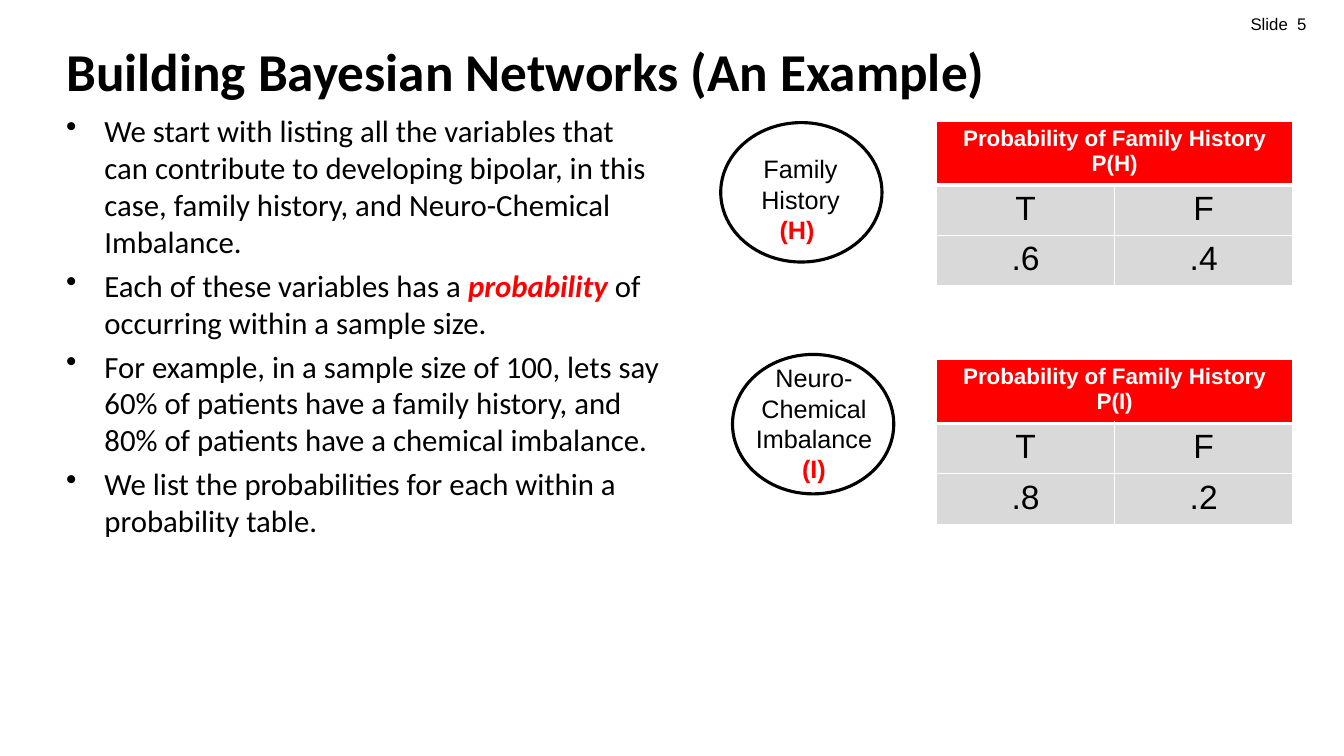
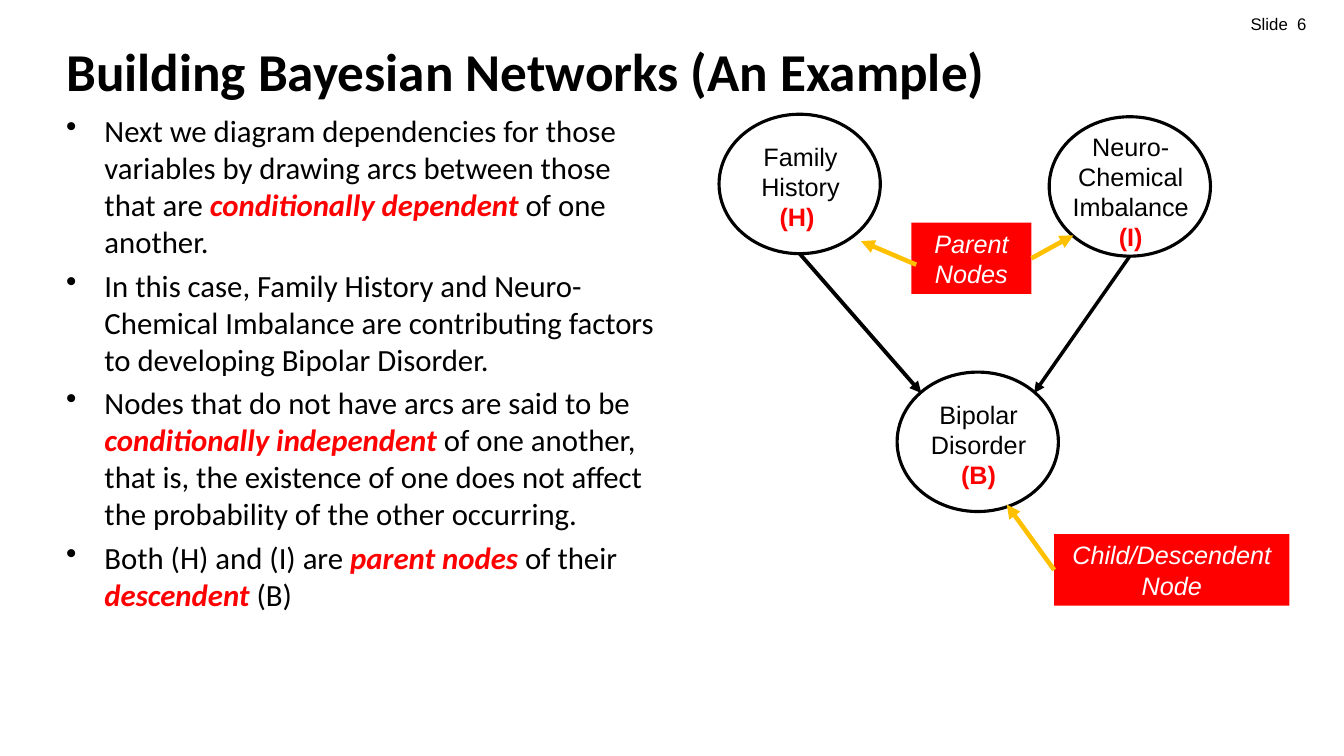
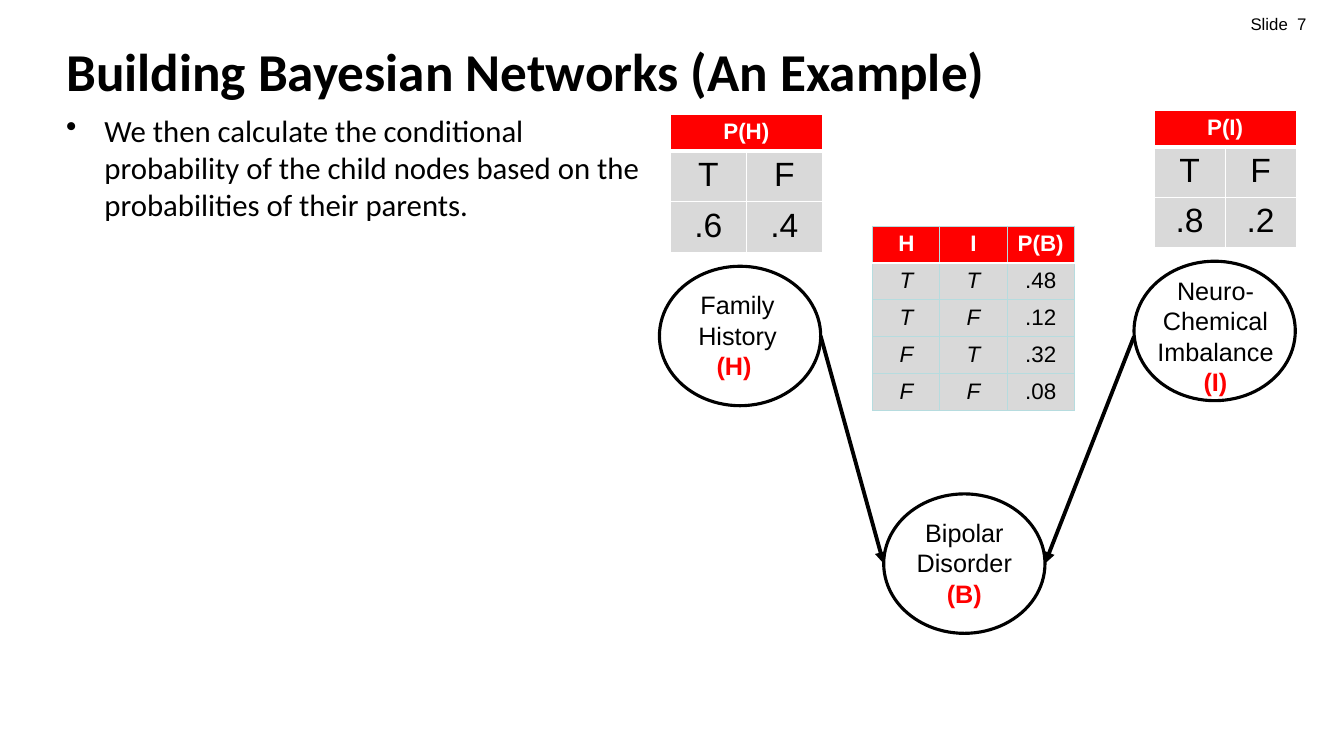
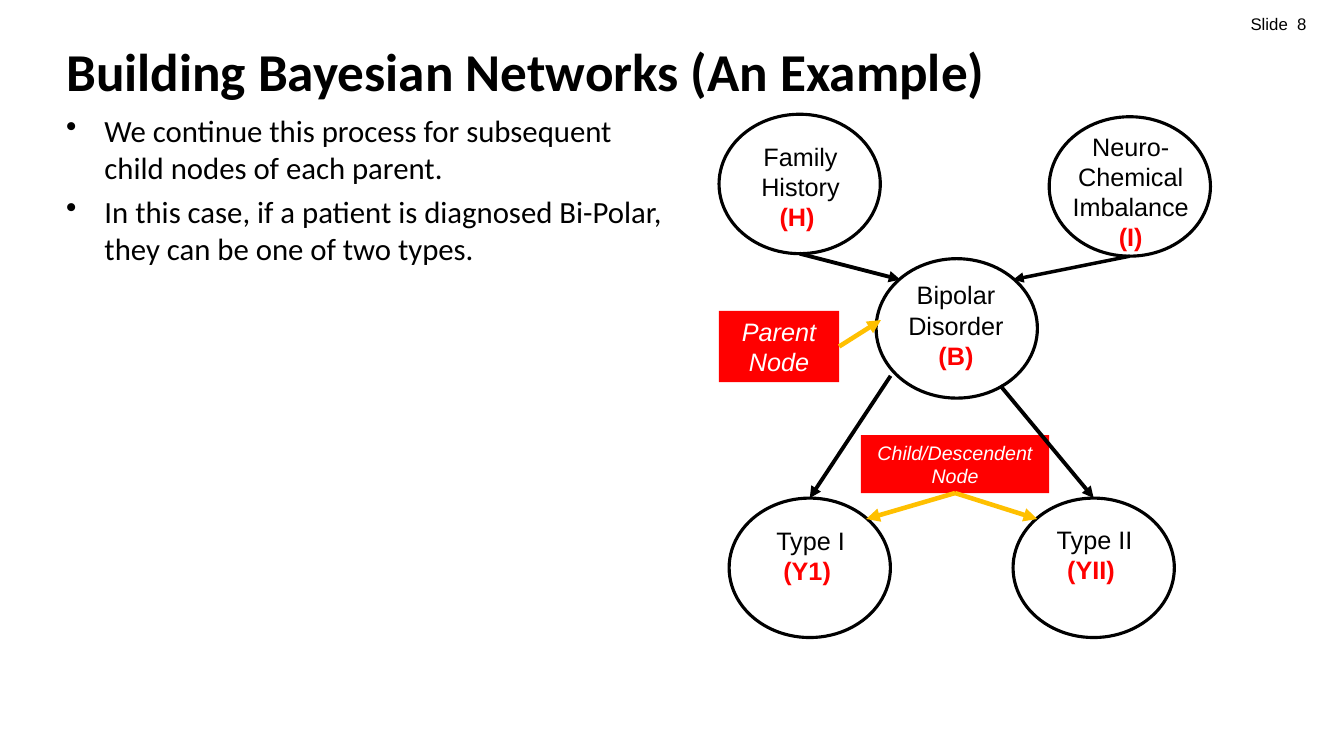
from dataclasses import dataclass, field
from typing import NamedTuple, Optional

from lxml import etree
from pptx import Presentation
from pptx.dml.color import RGBColor
from pptx.enum.shapes import MSO_CONNECTOR, MSO_SHAPE
from pptx.enum.text import MSO_ANCHOR, MSO_AUTO_SIZE, PP_ALIGN
from pptx.oxml.ns import qn
from pptx.util import Emu, Inches, Pt

ELLIPSE, RECTANGLE = MSO_SHAPE.OVAL, MSO_SHAPE.RECTANGLE
STRAIGHT = MSO_CONNECTOR.STRAIGHT
LEFT_ALIGN, CENTER = PP_ALIGN.LEFT, PP_ALIGN.CENTER
MIDDLE = MSO_ANCHOR.MIDDLE
GROW, FIXED = MSO_AUTO_SIZE.SHAPE_TO_FIT_TEXT, MSO_AUTO_SIZE.NONE

SLIDE_WIDTH, SLIDE_HEIGHT = Inches(13.33), Inches(7.5)
COLUMNS, ROWS = 160, 90
TITLE_ONLY = 5
FIRST_NUMBER = 5

BLACK, WHITE, RED = "000000", "FFFFFF", "FF0000"
GREY, AMBER, PALE_BLUE = "D9D9D9", "FFC000", "B6DCDF"
HEADING_FONT, DIAGRAM_FONT = "Calibri", "Arial"
TITLE = "Building Bayesian Networks (An Example)"


class Point(NamedTuple):
    """A place in grid columns and rows, or in shares of a box."""
    x: float
    y: float


class Box(NamedTuple):
    """An area in grid columns and rows."""
    left: float
    top: float
    width: float
    height: float

    def at(self, share: Point) -> Point:
        return Point(self.left + share.x * self.width, self.top + share.y * self.height)


TOP, BOTTOM = Point(0.5, 0), Point(0.5, 1)
LEFT, RIGHT = Point(0, 0.5), Point(1, 0.5)
TOP_LEFT, TOP_RIGHT = Point(0.15, 0.15), Point(0.85, 0.15)
BOTTOM_LEFT = Point(0.15, 0.85)

NUMBER_BOX = Box(147.7, 1, 11.2, 3.6)
TITLE_BOX = Box(6.7, 4, 136, 8.8)
BODY_BOX = Box(6.7, 12.7, 73.4, 62.6)
NODE_WIDTH, NODE_HEIGHT = 19.2, 16.6
LABEL_WIDTH, LABEL_LINE, LABEL_PADDING = 19.4, 3.6, 1.2
HEADER_LINE, HEADER_PADDING = 3, 1.2
CHANCE_ROW, JOINT_ROW = 5.6, 4.2


class Span(NamedTuple):
    text: str
    color: Optional[str] = None
    bold: Optional[bool] = None
    italic: Optional[bool] = None


class Label(NamedTuple):
    name: str
    symbol: str
    lines: int


LABELS = {
    "H": Label("Family History", "(H) ", 3),
    "I": Label("Neuro-Chemical Imbalance", "(I)", 4),
    "B": Label("Bipolar Disorder", "(B)", 3),
    "Y1": Label("Type I", "(Y1) ", 2),
    "Y2": Label("Type II", "(YII) ", 2),
}


@dataclass(frozen=True)
class Node:
    left: float
    top: float
    label_down: float = 2.6
    label_right: float = 0

    @property
    def box(self) -> Box:
        return Box(self.left, self.top, NODE_WIDTH, NODE_HEIGHT)


@dataclass(frozen=True)
class Callout:
    text: str
    box: Box
    size: float = 18


@dataclass(frozen=True)
class Link:
    """An arrow between two named boxes, at shares of their size."""
    source: str
    start: Point
    target: str
    end: Point
    color: str = BLACK
    width: float = 2.75


@dataclass(frozen=True)
class ChanceTable:
    """The chances of true and false for one variable."""
    heading: list[str]
    values: list[str]
    left: float
    top: float
    width: float


@dataclass(frozen=True)
class JointTable:
    rows: list[list[str]]
    left: float
    top: float
    width: float


@dataclass(frozen=True)
class Lesson:
    bullets: list[list[Span]]
    nodes: dict[str, Node] = field(default_factory=dict)
    callouts: dict[str, Callout] = field(default_factory=dict)
    links: list[Link] = field(default_factory=list)
    chances: list[ChanceTable] = field(default_factory=list)
    joints: list[JointTable] = field(default_factory=list)


def key(text: str) -> Span:
    """A key term within a bullet."""
    return Span(text, RED, True, True)


def pointer(source: str, start: Point, target: str, end: Point) -> Link:
    """An arrow from a callout to the node it explains."""
    return Link(source, start, target, end, AMBER, 3.25)


def across(columns: float) -> Emu:
    return Emu(round(columns * SLIDE_WIDTH / COLUMNS))


def down(rows: float) -> Emu:
    return Emu(round(rows * SLIDE_HEIGHT / ROWS))


def place(box: Box) -> tuple[Emu, Emu, Emu, Emu]:
    return across(box.left), down(box.top), across(box.width), down(box.height)


def rgb(color: str) -> RGBColor:
    return RGBColor.from_string(color)


def add_bullet(para) -> None:
    props = para._p.get_or_add_pPr()
    props.set("marL", str(Inches(0.38)))
    props.set("indent", str(-Inches(0.38)))
    etree.SubElement(props, qn("a:buChar")).set("char", "•")


def write(frame, paragraphs: list[list[Span]], *, size: float, font: str = DIAGRAM_FONT,
          color: str = BLACK, bold: bool = False, italic: bool = False,
          align: PP_ALIGN = CENTER, before: float = 0, bulleted: bool = False) -> None:
    """Fill a text frame; a span's own format overrides the given one."""
    for index, spans in enumerate(paragraphs):
        para = frame.add_paragraph() if index else frame.paragraphs[0]
        para.alignment = align
        para.space_before = Pt(before)
        if bulleted:
            add_bullet(para)
        for span in spans:
            run = para.add_run()
            run.text = span.text
            run.font.name = font
            run.font.size = Pt(size)
            run.font.color.rgb = rgb(span.color or color)
            run.font.bold = bold if span.bold is None else span.bold
            run.font.italic = italic if span.italic is None else span.italic


def add_text(page, box: Box, paragraphs: list[list[Span]], *, auto_size=GROW, **text_format) -> None:
    frame = page.shapes.add_textbox(*place(box)).text_frame
    frame.word_wrap = True
    frame.auto_size = auto_size
    write(frame, paragraphs, **text_format)


def add_title(page) -> None:
    title = page.shapes.title
    title.left, title.top, title.width, title.height = place(TITLE_BOX)
    title.text_frame.auto_size = FIXED
    title.text_frame.vertical_anchor = MIDDLE
    write(title.text_frame, [[Span(TITLE)]], size=38, font=HEADING_FONT, bold=True, align=LEFT_ALIGN)


def add_node(page, node: Node, label: Label) -> None:
    shape = page.shapes.add_shape(ELLIPSE, *place(node.box))
    shape.shadow.inherit = False
    shape.fill.background()
    shape.line.color.rgb = rgb(BLACK)
    shape.line.width = Pt(2.25)
    label_box = Box(node.left + node.label_right, node.top + node.label_down,
                    LABEL_WIDTH, label.lines * LABEL_LINE + LABEL_PADDING)
    add_text(page, label_box, [[Span(label.name)], [Span(label.symbol, RED, True)]], size=18)


def add_callout(page, callout: Callout) -> None:
    shape = page.shapes.add_shape(RECTANGLE, *place(callout.box))
    shape.shadow.inherit = False
    shape.fill.solid()
    shape.fill.fore_color.rgb = rgb(RED)
    shape.line.fill.background()
    shape.text_frame.word_wrap = True
    shape.text_frame.auto_size = GROW
    write(shape.text_frame, [[Span(callout.text)]], size=callout.size, color=WHITE, italic=True)


def add_link(page, link: Link, boxes: dict[str, Box]) -> None:
    start = boxes[link.source].at(link.start)
    end = boxes[link.target].at(link.end)
    arrow = page.shapes.add_connector(STRAIGHT, across(start.x), down(start.y), across(end.x), down(end.y))
    arrow.line.color.rgb = rgb(link.color)
    arrow.line.width = Pt(link.width)
    etree.SubElement(arrow.line._get_or_add_ln(), qn("a:tailEnd")).set("type", "triangle")
    etree.SubElement(arrow._element.spPr, qn("a:effectLst"))


def set_border(cell, side: str, color: str, width: float) -> None:
    line = etree.SubElement(cell._tc.get_or_add_tcPr(), qn(f"a:ln{side}"))
    line.set("w", str(Pt(width)))
    fill = etree.SubElement(line, qn("a:solidFill"))
    etree.SubElement(fill, qn("a:srgbClr")).set("val", color)


def format_cell(cell, lines: list[str], *, fill: str, edge: str, edge_width: float,
                bottom_width: Optional[float] = None, **text_format) -> None:
    """Fill a cell; a bottom width gives it a white lower border."""
    for side in "LRT":
        set_border(cell, side, edge, edge_width)
    set_border(cell, "B", WHITE if bottom_width else edge, bottom_width or edge_width)
    cell.fill.solid()
    cell.fill.fore_color.rgb = rgb(fill)
    write(cell.text_frame, [[Span(line)] for line in lines], **text_format)


def add_grid(page, left: float, top: float, width: float, column_count: int, heights: list[float]):
    box = Box(left, top, width, sum(heights))
    table = page.shapes.add_table(len(heights), column_count, *place(box)).table
    table.horz_banding = False
    for column in table.columns:
        column.width = across(width / column_count)
    for row, height in zip(table.rows, heights):
        row.height = down(height)
    return table


def add_chance_table(page, chance: ChanceTable) -> None:
    header_height = len(chance.heading) * HEADER_LINE + HEADER_PADDING
    table = add_grid(page, chance.left, chance.top, chance.width, 2, [header_height, CHANCE_ROW, CHANCE_ROW])
    edges = {"edge": WHITE, "edge_width": 1}
    table.cell(0, 0).merge(table.cell(0, 1))
    format_cell(table.cell(0, 0), chance.heading, fill=RED, bottom_width=3,
                size=16, color=WHITE, bold=True, **edges)
    for row, texts in enumerate([["T", "F"], chance.values], start=1):
        for column, text in enumerate(texts):
            format_cell(table.cell(row, column), [text], fill=GREY, size=24, **edges)


def add_joint_table(page, joint: JointTable) -> None:
    column_count = len(joint.rows[0])
    table = add_grid(page, joint.left, joint.top, joint.width, column_count, [JOINT_ROW] * len(joint.rows))
    edges = {"edge": PALE_BLUE, "edge_width": 0.75}
    for row, texts in enumerate(joint.rows):
        for column, text in enumerate(texts):
            cell = table.cell(row, column)
            if row == 0:
                format_cell(cell, [text], fill=RED, bottom_width=2, size=16, color=WHITE, bold=True, **edges)
            else:
                format_cell(cell, [text], fill=GREY, size=16, italic=column < column_count - 1, **edges)


def add_lesson(deck, number: int, lesson: Lesson) -> None:
    page = deck.slides.add_slide(deck.slide_layouts[TITLE_ONLY])
    add_title(page)
    add_text(page, NUMBER_BOX, [[Span(f"Slide  {number}")]], size=12, align=LEFT_ALIGN)
    add_text(page, BODY_BOX, lesson.bullets, auto_size=FIXED, size=22, font=HEADING_FONT,
             align=LEFT_ALIGN, before=5, bulleted=True)
    for joint in lesson.joints:
        add_joint_table(page, joint)
    for chance in lesson.chances:
        add_chance_table(page, chance)
    for name, node in lesson.nodes.items():
        add_node(page, node, LABELS[name])
    for callout in lesson.callouts.values():
        add_callout(page, callout)
    boxes = {name: item.box for name, item in (lesson.nodes | lesson.callouts).items()}
    for link in lesson.links:
        add_link(page, link, boxes)


FAMILY_NODE = Node(85.6, 13.6)
CHEMICAL_NODE = Node(124.9, 13.9, 1.1)

LESSONS = [
    Lesson(
        bullets=[
            [Span("We start with listing all the variables that can contribute to developing bipolar, "
                  "in this case, family history, and Neuro-Chemical Imbalance.")],
            [Span("Each of these variables has a "), key("probability"),
             Span(" of occurring within a sample size.")],
            [Span("For example, in a sample size of 100, lets say 60% of patients have a family history, "
                  "and 80% of patients have a chemical imbalance.")],
            [Span("We list the probabilities for each within a probability table.")],
        ],
        nodes={"H": Node(85.8, 14.6, 3.1, -0.2), "I": Node(87.2, 42.2, 0.4)},
        chances=[
            ChanceTable(["Probability of Family History", "P(H)"], [".6", ".4"], 111.5, 14.4, 42.4),
            ChanceTable(["Probability of Family History", "P(I)"], [".8", ".2"], 111.5, 42.8, 42.4),
        ],
    ),
    Lesson(
        bullets=[
            [Span("Next we diagram dependencies for those variables by drawing arcs between those that are "),
             key("conditionally dependent "), Span("of one another.")],
            [Span("In this case, Family History and Neuro-Chemical Imbalance are contributing factors "
                  "to developing Bipolar Disorder.")],
            [Span("Nodes that do not have arcs are said to be "), key("conditionally independent"),
             Span(" of one another, that is, the existence of one does not affect "
                  "the probability of the other occurring.")],
            [Span("Both (H) and (I) are "), key("parent nodes "), Span("of their "),
             key("descendent"), Span(" (B)")],
        ],
        nodes={"H": FAMILY_NODE, "B": Node(106.8, 44.3), "I": CHEMICAL_NODE},
        callouts={
            "child": Callout("Child/Descendent Node", Box(125.5, 63.6, 28, 8.5)),
            "parent": Callout("Parent Nodes", Box(108.5, 26.5, 14.3, 8.5)),
        },
        links=[
            Link("H", BOTTOM, "B", TOP_LEFT),
            Link("I", BOTTOM, "B", TOP_RIGHT, width=2.5),
            pointer("parent", Point(0.04, 0.59), "H", Point(0.88, 0.91)),
            pointer("parent", RIGHT, "I", BOTTOM_LEFT),
            pointer("child", LEFT, "B", Point(0.68, 0.95)),
        ],
    ),
    Lesson(
        bullets=[
            [Span("We then calculate the conditional probability of the child nodes "
                  "based on the probabilities of their parents.")],
        ],
        nodes={"B": Node(105.2, 58.8, 2.2, -0.1), "H": Node(78.5, 31.7, 2.2, -0.4),
               "I": Node(135, 31.1, 1.1)},
        links=[
            Link("H", RIGHT, "B", LEFT),
            Link("I", Point(0, 0.54), "B", RIGHT),
        ],
        chances=[
            ChanceTable(["P(H)"], [".6", ".4"], 79.8, 13.6, 18.1),
            ChanceTable(["P(I)"], [".8", ".2"], 137.4, 13.1, 16.9),
        ],
        joints=[
            JointTable([["H", "I", "P(B)"], ["T", "T", ".48"], ["T", "F", ".12"],
                        ["F", "T", ".32"], ["F", "F", ".08"]], 103.9, 26.9, 24),
        ],
    ),
    Lesson(
        bullets=[
            [Span("We continue this process for subsequent child nodes of each parent.")],
            [Span("In this case, if a patient is diagnosed Bi-Polar, they can be one of two types.")],
        ],
        nodes={"H": FAMILY_NODE, "B": Node(104.3, 30.8, 1.9, -0.2), "I": CHEMICAL_NODE,
               "Y1": Node(86.8, 59.3), "Y2": Node(120.6, 59.3, 2.5)},
        callouts={
            "child": Callout("Child/Descendent Node", Box(102.5, 51.8, 22.4, 6.9), 14),
            "parent": Callout("Parent Node", Box(85.6, 37, 14.3, 8.5)),
        },
        links=[
            Link("H", BOTTOM, "B", TOP_LEFT),
            Link("I", BOTTOM, "B", TOP_RIGHT, width=2.5),
            pointer("parent", RIGHT, "B", Point(0.03, 0.44)),
            pointer("child", BOTTOM, "Y1", TOP_RIGHT),
            Link("B", Point(0.09, 0.84), "Y1", TOP),
            Link("B", Point(0.77, 0.91), "Y2", TOP),
            pointer("child", BOTTOM, "Y2", TOP_LEFT),
        ],
    ),
]


def main() -> None:
    deck = Presentation()
    deck.slide_width, deck.slide_height = SLIDE_WIDTH, SLIDE_HEIGHT
    for number, lesson in enumerate(LESSONS, start=FIRST_NUMBER):
        add_lesson(deck, number, lesson)
    deck.save("out.pptx")


if __name__ == "__main__":
    main()
